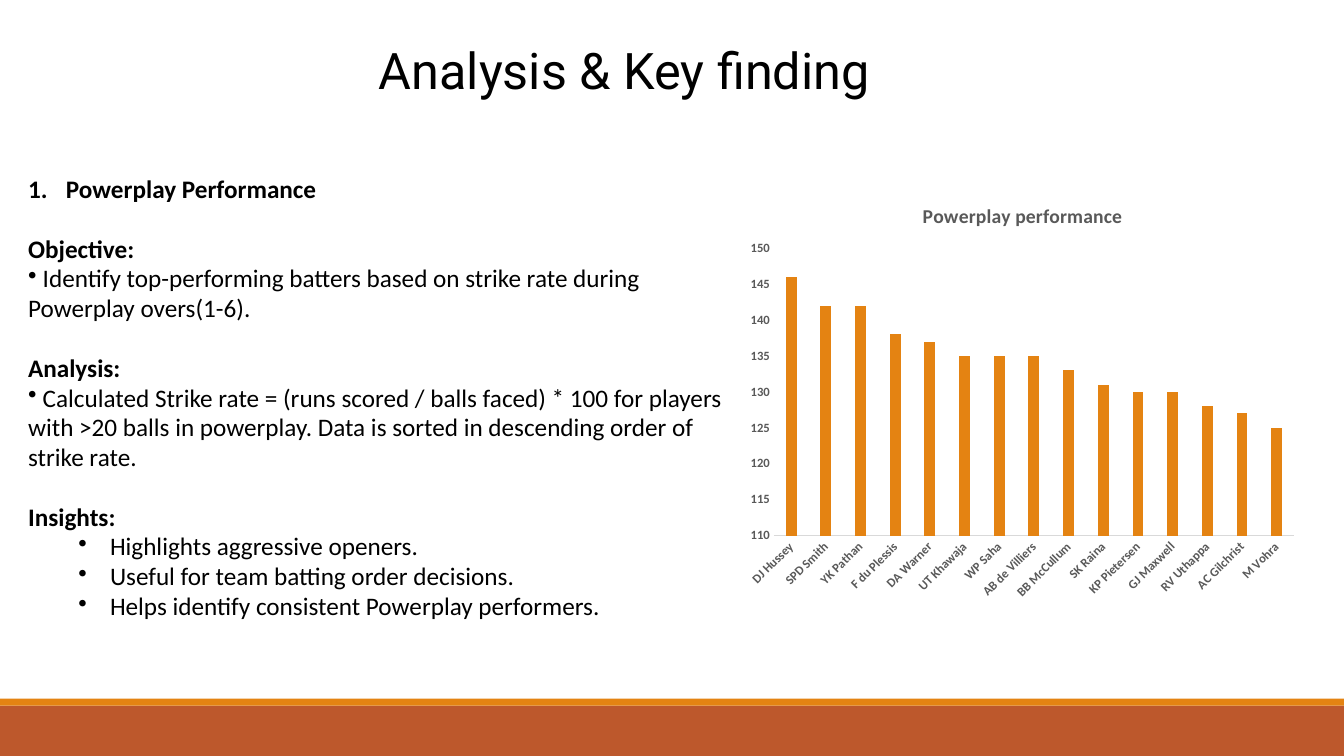
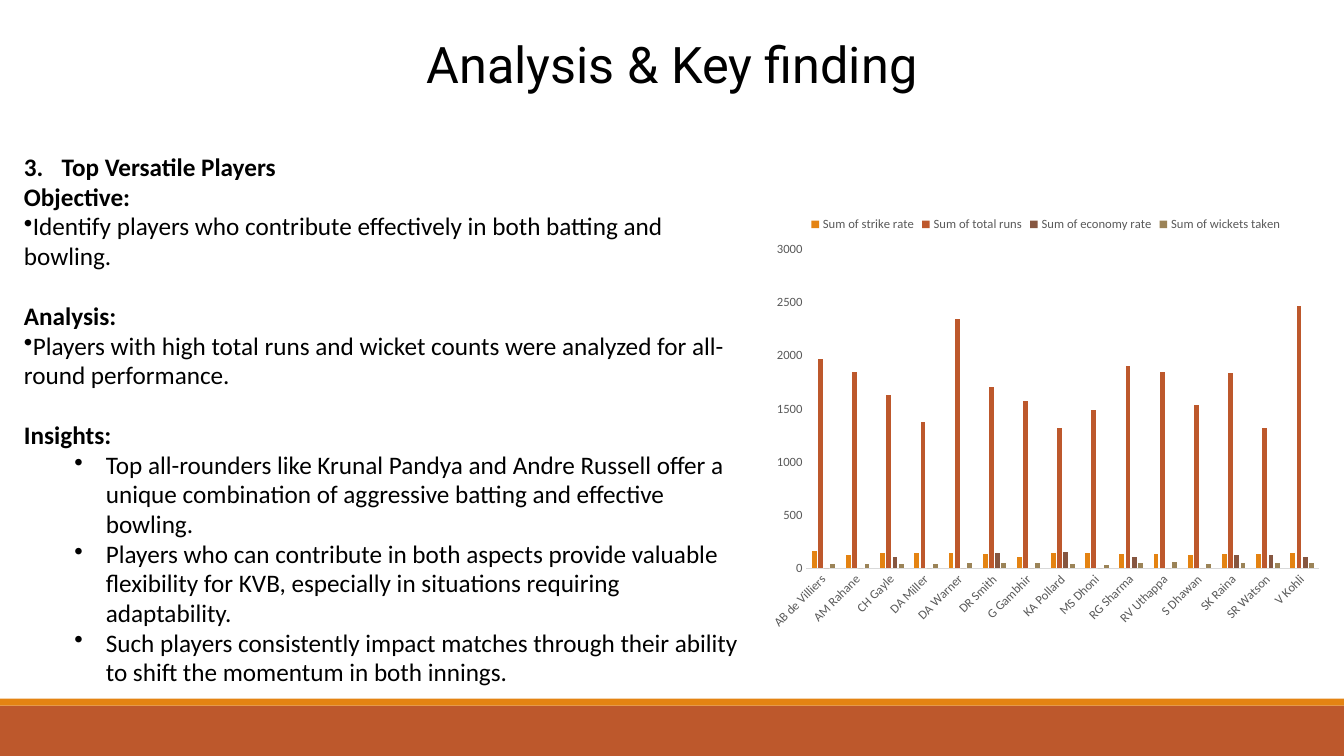
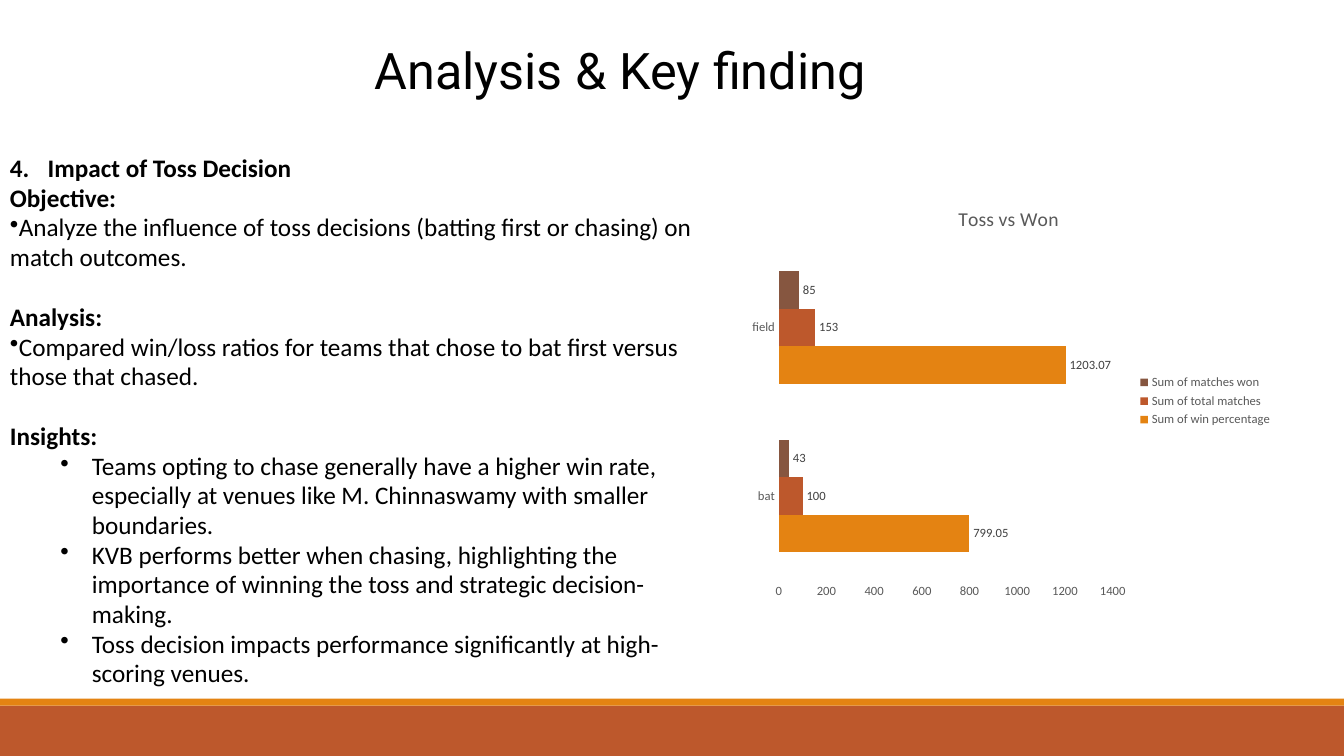
import dataclasses

import lxml.etree
import pptx
import pptx.chart.data
import pptx.dml.color
import pptx.enum.chart
import pptx.enum.shapes
import pptx.enum.text
import pptx.oxml
import pptx.oxml.ns
import pptx.util

Pt = pptx.util.Pt
qn = pptx.oxml.ns.qn
ChartType = pptx.enum.chart.XL_CHART_TYPE
LegendPlace = pptx.enum.chart.XL_LEGEND_POSITION
TickMark = pptx.enum.chart.XL_TICK_MARK


@dataclasses.dataclass(frozen=True)
class Theme:
    width: float = 960
    height: float = 540
    heading_font: str = "Roboto"
    body_font: str = "Calibri"
    heading_size: float = 36
    body_size: float = 18
    chart_title_size: float = 14
    axis_size: float = 9
    line_gap: float = 21.6
    line_spacing: float = 0.98
    ink: str = "000000"
    muted: str = "595959"
    label: str = "404040"
    rule: str = "D9D9D9"
    orange: str = "E48312"
    rust: str = "BD582C"
    brown: str = "865640"
    khaki: str = "9B8357"


THEME = Theme()
SERIES_COLOURS = (THEME.orange, THEME.rust, THEME.brown, THEME.khaki)


def rgb(code):
    return pptx.dml.color.RGBColor.from_string(code)


def apply(target, values):
    for name, value in values.items():
        setattr(target, name, value)


def style_font(font, size, colour, face=THEME.body_font, bold=False):
    apply(font, {"size": Pt(size), "name": face, "bold": bold})
    font.color.rgb = rgb(colour)


def points(box):
    return [Pt(length) for length in box]


def add_bands(slide):
    for top, height, colour in ((504, 36, THEME.rust), (499, 5, THEME.orange)):
        band = slide.shapes.add_shape(
            pptx.enum.shapes.MSO_SHAPE.RECTANGLE, *points((0, top, THEME.width, height)))
        band.shadow.inherit = False
        band.fill.solid()
        band.fill.fore_color.rgb = rgb(colour)
        band.line.fill.background()


def add_frame(slide, box):
    frame = slide.shapes.add_textbox(*points(box)).text_frame
    apply(frame, {"word_wrap": True,
                  "vertical_anchor": pptx.enum.text.MSO_ANCHOR.MIDDLE})
    return frame


def add_heading(slide, left, top):
    heading = add_frame(slide, (left, top, 474, 61)).paragraphs[0]
    heading.alignment = pptx.enum.text.PP_ALIGN.CENTER
    run = heading.add_run()
    run.text = "Analysis & Key finding"
    style_font(run.font, THEME.heading_size, THEME.ink, THEME.heading_font)


def set_bullet(paragraph, margin, hang, number=None):
    properties = paragraph._p.get_or_add_pPr()
    properties.set("marL", str(Pt(margin)))
    properties.set("indent", str(Pt(-hang)))
    if number:
        marker = lxml.etree.SubElement(properties, qn("a:buAutoNum"))
        marker.set("type", "arabicPeriod")
        marker.set("startAt", str(number))
    else:
        lxml.etree.SubElement(properties, qn("a:buChar")).set("char", "•")


def add_findings(slide, box, number, topic, objective, analysis, insights,
                 gap_after_topic=False):
    frame = add_frame(slide, box)
    lines = [(topic, "topic", False),
             ("Objective:", "label", gap_after_topic), (objective, "point", False),
             ("Analysis:", "label", True), (analysis, "point", False),
             ("Insights:", "label", True)]
    lines += [(insight, "insight", False) for insight in insights]
    markers = {"topic": (27, 27, number), "point": (0, 0), "insight": (58.5, 22.5)}
    for index, (text, role, gap) in enumerate(lines):
        paragraph = frame.add_paragraph() if index else frame.paragraphs[0]
        apply(paragraph, {"line_spacing": THEME.line_spacing,
                          "space_before": Pt(THEME.line_gap if gap else 0),
                          "level": int(role == "insight")})
        if role in markers:
            set_bullet(paragraph, *markers[role])
        run = paragraph.add_run()
        run.text = text
        style_font(run.font, THEME.body_size, THEME.ink, bold=role in ("topic", "label"))


def place_plot(chart, fractions):
    plot_area = chart._chartSpace.chart.plotArea
    for old in plot_area.findall(qn("c:layout")):
        plot_area.remove(old)
    layout = lxml.etree.Element(qn("c:layout"))
    manual = lxml.etree.SubElement(layout, qn("c:manualLayout"))
    settings = [("layoutTarget", "inner"), ("xMode", "edge"), ("yMode", "edge")]
    settings += zip("xywh", fractions)
    for name, value in settings:
        lxml.etree.SubElement(manual, qn("c:" + name)).set("val", str(value))
    plot_area.insert(0, layout)


def style_axis(axis, limits=None, bold=False, ruled=False, tilted=False):
    apply(axis, {"has_major_gridlines": False, "major_tick_mark": TickMark.NONE,
                 "minor_tick_mark": TickMark.NONE})
    style_font(axis.tick_labels.font, THEME.axis_size, THEME.muted, bold=bold)
    if ruled:
        axis.format.line.color.rgb = rgb(THEME.rule)
        axis.format.line.width = Pt(0.75)
    else:
        axis.format.line.fill.background()
    if limits:
        apply(axis, dict(zip(("minimum_scale", "maximum_scale", "major_unit"), limits)))
    if tilted:
        body = axis._element.find(qn("c:txPr")).find(qn("a:bodyPr"))
        body.set("rot", "-2700000")
        body.set("vert", "horz")


def add_bar_chart(slide, box, plot_box, categories, series, limits, title=None,
                  bold=False, legend=None, horizontal=False):
    data = pptx.chart.data.CategoryChartData()
    data.categories = categories
    for name, values in series:
        data.add_series(name, values)
    kind = ChartType.BAR_CLUSTERED if horizontal else ChartType.COLUMN_CLUSTERED
    chart = slide.shapes.add_chart(kind, *points(box), data).chart
    style_font(chart.font, 10, THEME.ink)
    apply(chart, {"has_title": bool(title), "has_legend": bool(legend)})
    if title:
        run = chart.chart_title.text_frame.paragraphs[0].add_run()
        run.text = title
        style_font(run.font, THEME.chart_title_size, THEME.muted, bold=bold)
        chart.chart_title.include_in_layout = False
    if legend:
        apply(chart.legend, {"position": legend, "include_in_layout": False})
        style_font(chart.legend.font, THEME.axis_size, THEME.muted)
    plot = chart.plots[0]
    apply(plot, {"vary_by_categories": False, "gap_width": 150 if horizontal else 219,
                 "overlap": 0 if horizontal else -27})
    for bars, colour in zip(plot.series, SERIES_COLOURS):
        bars.format.fill.solid()
        bars.format.fill.fore_color.rgb = rgb(colour)
        bars.invert_if_negative = False
        if horizontal:
            bars.data_labels.show_value = True
            style_font(bars.data_labels.font, THEME.axis_size, THEME.label)
    style_axis(chart.category_axis, bold=bold, ruled=not horizontal, tilted=not horizontal)
    style_axis(chart.value_axis, limits, bold=bold)
    place_plot(chart, plot_box)


SLIDES = [
    {
        "heading": (209, 19),
        "findings": {
            "box": (13, 95, 523, 378.5),
            "number": 1,
            "topic": "Powerplay Performance",
            "objective": " Identify top-performing batters based on strike rate during "
                         "Powerplay overs(1-6).",
            "analysis": " Calculated Strike rate = (runs scored / balls faced) * 100 for "
                        "players with >20 balls in powerplay. Data is sorted in "
                        "descending order of strike rate.",
            "insights": ["Highlights aggressive openers.",
                         "Useful for team batting order decisions.",
                         "Helps identify consistent Powerplay performers."],
            "gap_after_topic": True,
        },
        "chart": {
            "box": (528.5, 132, 404, 302),
            "plot_box": (0.06, 0.15, 0.92, 0.68),
            "categories": ["DJ Hussey", "SPD Smith", "YK Pathan", "F du Plessis",
                           "DA Warner", "UT Khawaja", "WP Saha", "AB de Villiers",
                           "BB McCullum", "SK Raina", "KP Pietersen", "GJ Maxwell",
                           "RV Uthappa", "AC Gilchrist", "M Vohra"],
            "series": [("Series 1", (146, 142, 142, 138, 137, 135, 135, 135, 133, 131,
                                     130, 130, 128, 127, 125))],
            "limits": (110, 150, 5),
            "title": "Powerplay performance",
            "bold": True,
        },
    },
    {
        "heading": (243, 14.5),
        "findings": {
            "box": (10, 104.5, 533.5, 391.5),
            "number": 3,
            "topic": "Top Versatile Players",
            "objective": "Identify players who contribute effectively in both batting "
                         "and bowling.",
            "analysis": "Players with high total runs and wicket counts were analyzed "
                        "for all-round performance.",
            "insights": ["Top all-rounders like Krunal Pandya and Andre Russell offer a "
                         "unique combination of aggressive batting and effective bowling.",
                         "Players who can contribute in both aspects provide valuable "
                         "flexibility for KVB, especially in situations requiring "
                         "adaptability.",
                         "Such players consistently impact matches through their ability "
                         "to shift the momentum in both innings."],
        },
        "chart": {
            "box": (543.5, 147, 407, 312),
            "plot_box": (0.08, 0.1, 0.9, 0.73),
            "categories": ["AB de Villiers", "AM Rahane", "CH Gayle", "DA Miller",
                           "DA Warner", "DR Smith", "G Gambhir", "KA Pollard",
                           "MS Dhoni", "RG Sharma", "RV Uthappa", "S Dhawan",
                           "SK Raina", "SR Watson", "V Kohli"],
            "series": [
                ("Sum of strike rate", (160, 120, 140, 140, 140, 130, 110, 140, 140, 130,
                                        130, 120, 130, 130, 140)),
                ("Sum of total runs", (1970, 1850, 1630, 1380, 2350, 1710, 1570, 1320,
                                       1490, 1900, 1850, 1540, 1840, 1320, 2470)),
                ("Sum of economy rate", (0, 0, 110, 0, 0, 140, 0, 150, 0, 110, 0, 0,
                                         120, 120, 110)),
                ("Sum of wickets taken", (40, 40, 40, 40, 50, 50, 50, 40, 30, 50, 60,
                                          40, 50, 50, 50)),
            ],
            "limits": (0, 3000, 500),
            "legend": LegendPlace.TOP,
        },
    },
    {
        "heading": (206, 19),
        "findings": {
            "box": (0, 95, 525, 412),
            "number": 4,
            "topic": "Impact of Toss Decision",
            "objective": "Analyze the influence of toss decisions (batting first or "
                         "chasing) on match outcomes.",
            "analysis": "Compared win/loss ratios for teams that chose to bat first "
                        "versus those that chased.",
            "insights": ["Teams opting to chase generally have a higher win rate, "
                         "especially at venues like M. Chinnaswamy with smaller "
                         "boundaries.",
                         "KVB performs better when chasing, highlighting the importance "
                         "of winning the toss and strategic decision-making.",
                         "Toss decision impacts performance significantly at "
                         "high-scoring venues."],
        },
        "chart": {
            "box": (525, 134, 391, 305),
            "plot_box": (0.08, 0.13, 0.61, 0.79),
            "categories": ["bat", "field"],
            "series": [("Sum of win percentage", (799.05, 1203.07)),
                       ("Sum of total matches", (100, 153)),
                       ("Sum of matches won", (43, 85))],
            "limits": (0, 1400, 200),
            "title": "Toss vs Won",
            "legend": LegendPlace.RIGHT,
            "horizontal": True,
        },
    },
]


def add_analysis_slide(deck, content):
    slide = deck.slides.add_slide(deck.slide_layouts[6])
    add_bands(slide)
    add_heading(slide, *content["heading"])
    add_findings(slide, **content["findings"])
    add_bar_chart(slide, **content["chart"])


def main():
    deck = pptx.Presentation()
    apply(deck, {"slide_width": Pt(THEME.width), "slide_height": Pt(THEME.height)})
    for content in SLIDES:
        add_analysis_slide(deck, content)
    deck.save("out.pptx")


if __name__ == "__main__":
    main()
